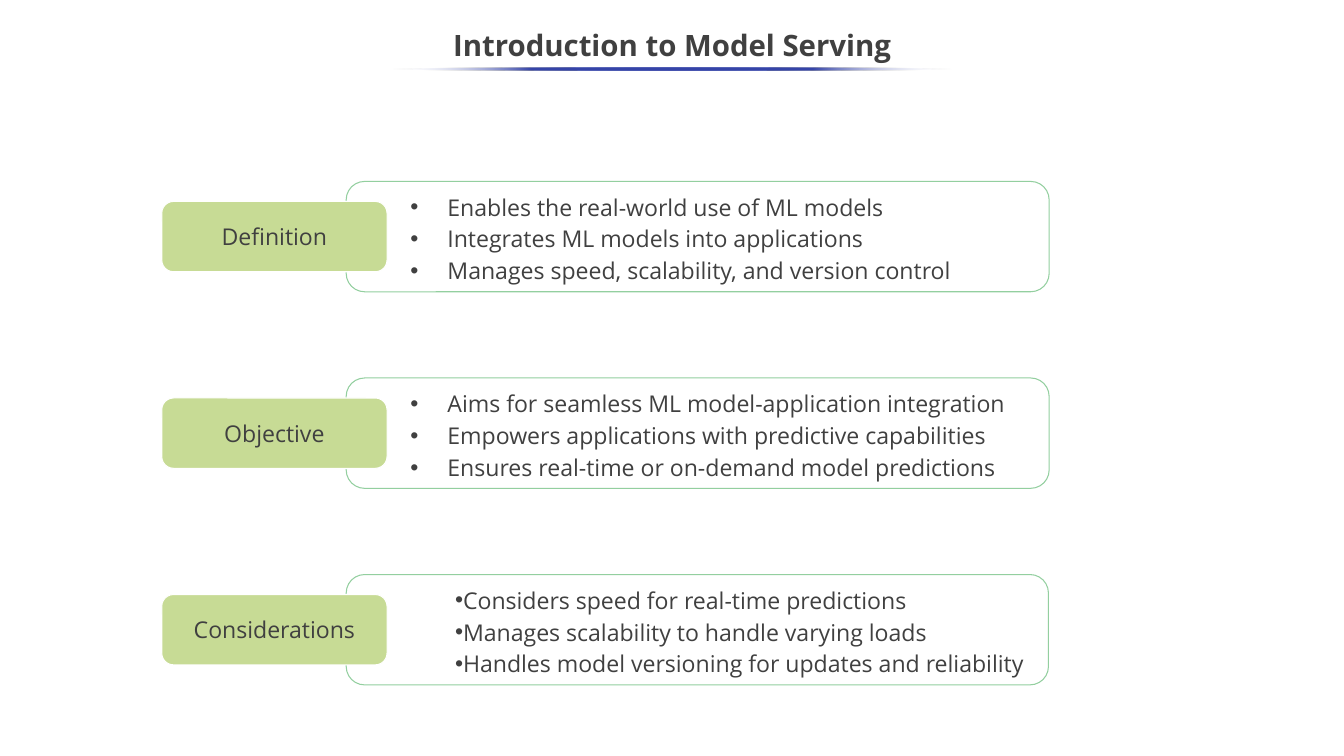
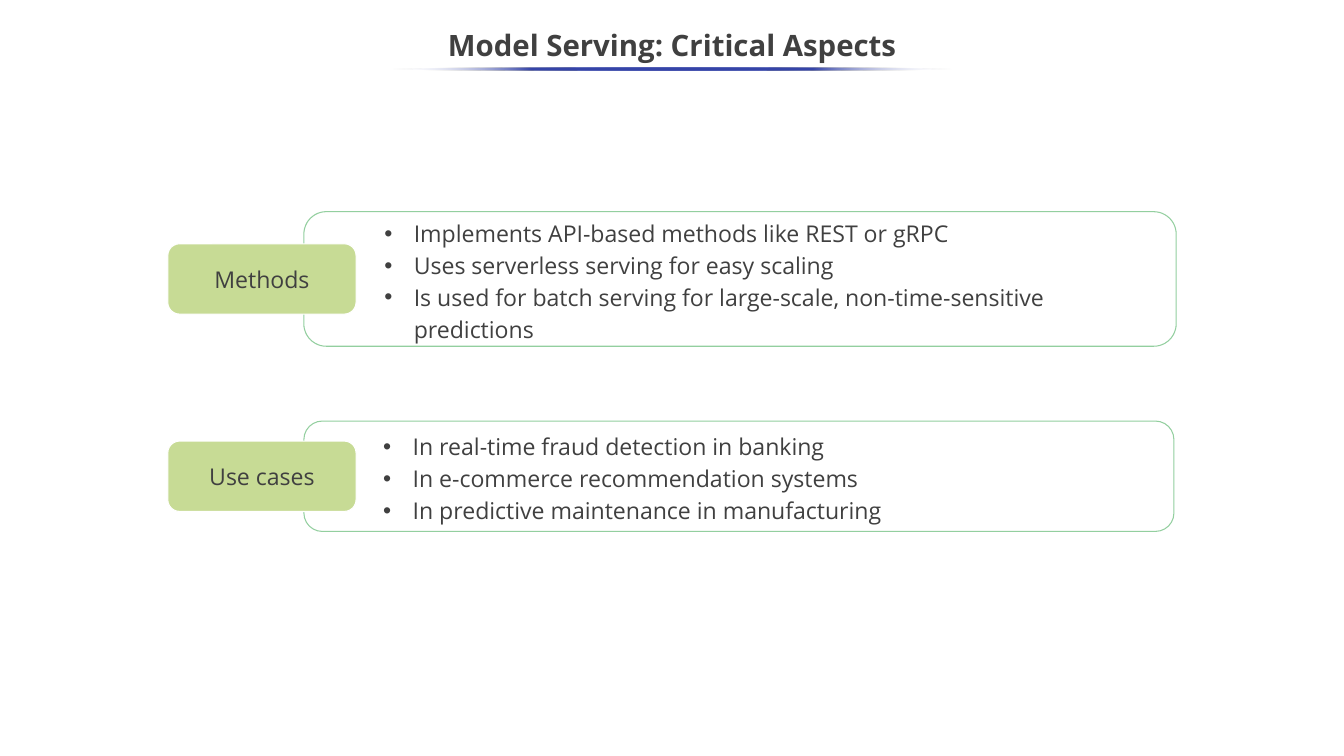
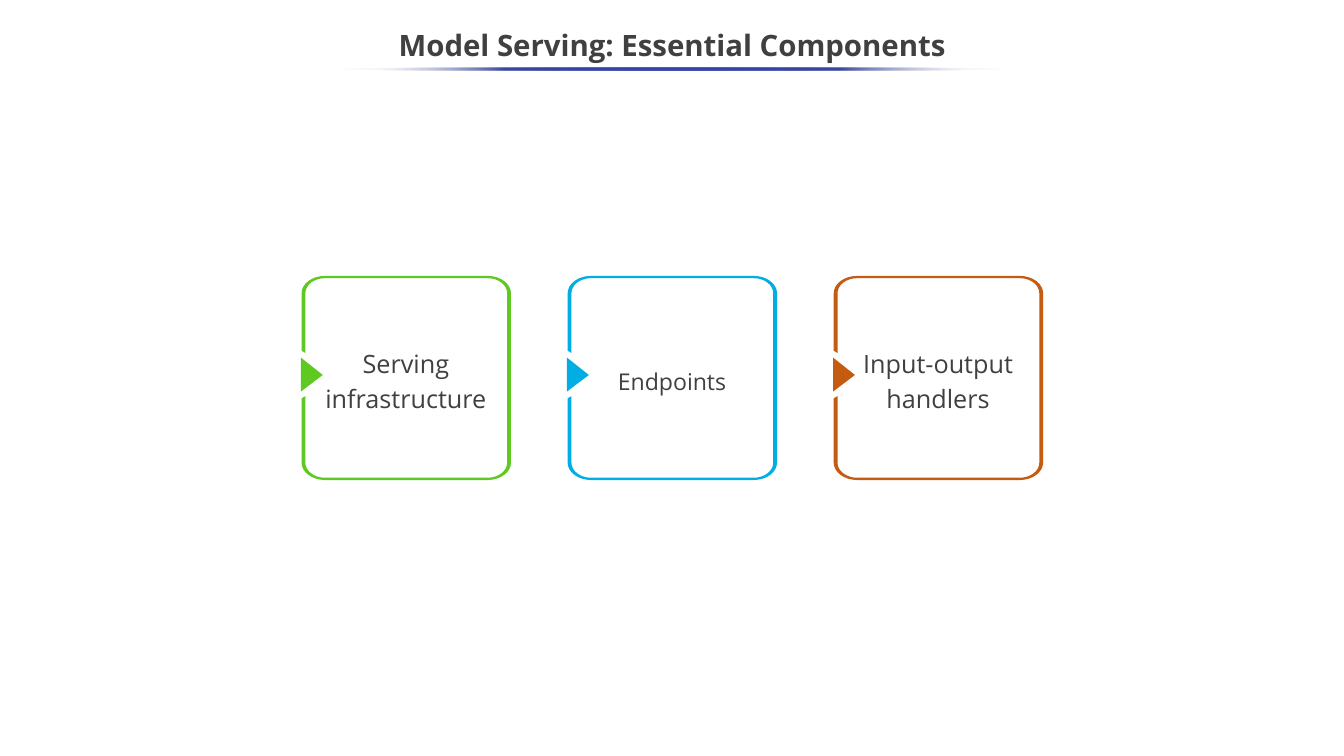
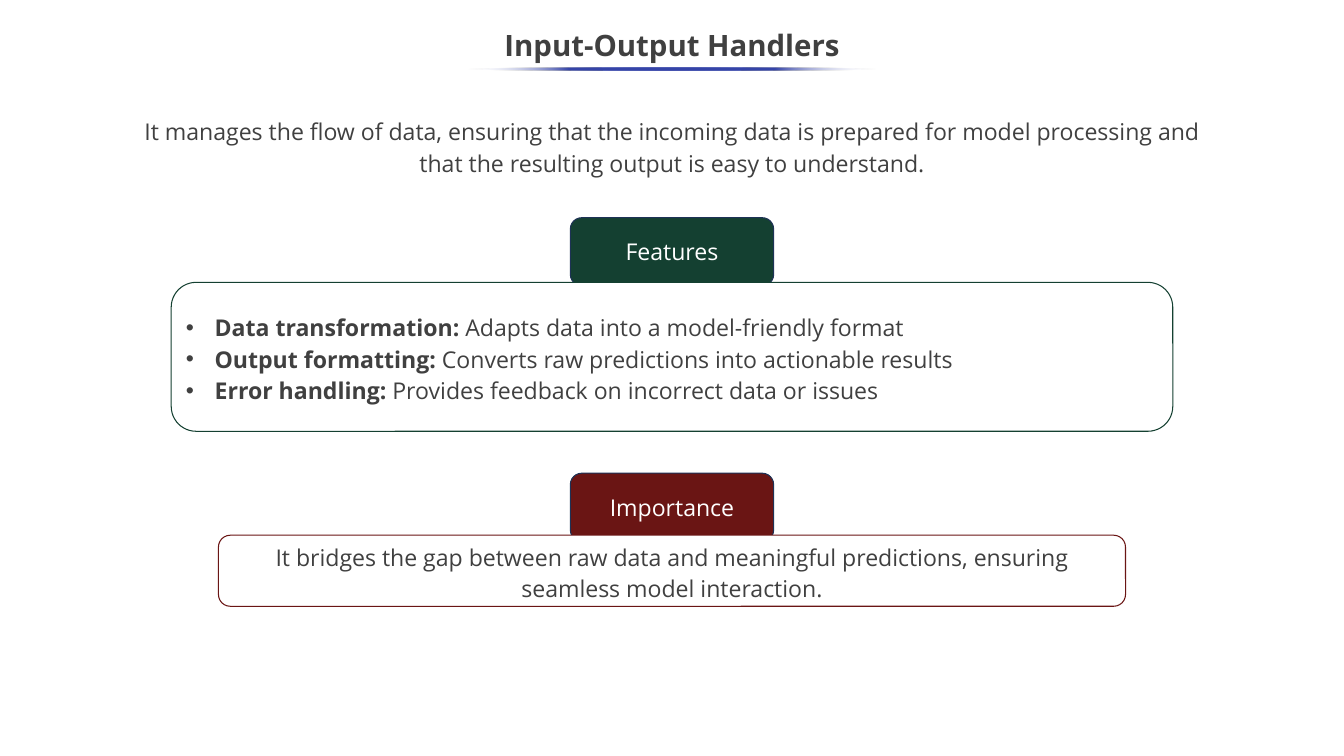
import math

import lxml.etree
import pptx
import pptx.dml.color
import pptx.enum.shapes
import pptx.enum.text
import pptx.oxml.ns
import pptx.util

SLIDE_W, SLIDE_H = 17.78, 10
CENTER = SLIDE_W / 2
FONT = "Open Sans"
INK, WHITE, ACCENT = "404040", "FFFFFF", "3645A9"
LABEL_FILL, PANEL_LINE = "C7DB95", "93CF9F"
BADGE_LINE = "1E3256"
LABEL_H = 0.93
LINE_SPACING = 1.15
SHAPE = pptx.enum.shapes.MSO_SHAPE
ALIGN = pptx.enum.text.PP_ALIGN
ANCHOR = pptx.enum.text.MSO_ANCHOR
AUTO_SIZE = pptx.enum.text.MSO_AUTO_SIZE
qn = pptx.oxml.ns.qn


def rgb(value):
    return pptx.dml.color.RGBColor.from_string(value)


def inches(*values):
    return [pptx.util.Inches(value) for value in values]


def add_element(parent, tag, **attributes):
    return lxml.etree.SubElement(parent, qn(tag), {k: str(v) for k, v in attributes.items()})


def write(sp, paragraphs, size=22, color=INK, bold=False, align=ALIGN.CENTER,
          anchor=ANCHOR.MIDDLE, spacing=None, indent=None, auto_size=AUTO_SIZE.NONE):
    tf = sp.text_frame
    tf.word_wrap = True
    tf.auto_size = auto_size
    tf.vertical_anchor = anchor
    for i, runs in enumerate(paragraphs):
        p = tf.paragraphs[0] if i == 0 else tf.add_paragraph()
        p.alignment = align
        p.line_spacing = spacing
        if indent:
            margin, hanging = inches(*indent)
            pPr = p._p.get_or_add_pPr()
            pPr.set("marL", str(margin))
            pPr.set("indent", str(hanging))
            add_element(pPr, "a:buFont", typeface="Arial")
            add_element(pPr, "a:buChar", char="•")
        for text, run_bold in [(runs, bold)] if isinstance(runs, str) else runs:
            r = p.add_run()
            r.text = text
            r.font.name = FONT
            r.font.size = pptx.util.Pt(size)
            r.font.bold = run_bold
            r.font.color.rgb = rgb(color)


def paint(sp, fill=None, line=None):
    sp.shadow.inherit = False
    if fill:
        sp.fill.solid()
        sp.fill.fore_color.rgb = rgb(fill)
    else:
        sp.fill.background()
    if line:
        sp.line.color.rgb = rgb(line)
        sp.line.width = pptx.util.Pt(1)
    else:
        sp.line.fill.background()


def add_box(s, left, middle, width, height, paragraphs, fill=None, line=None, **text_format):
    sp = s.shapes.add_shape(SHAPE.ROUNDED_RECTANGLE,
                            *inches(left, middle - height / 2, width, height))
    paint(sp, fill, line)
    write(sp, paragraphs, **text_format)


def add_bullets(s, left, middle, width, height, items, indent, **colors):
    add_box(s, left, middle, width, height, items, align=ALIGN.LEFT,
            spacing=LINE_SPACING, indent=indent, **colors)


def add_textbox(shapes, left, top, width, height, text, size=22):
    sp = shapes.add_textbox(*inches(left, top, width, height))
    write(sp, [text], size=size, anchor=ANCHOR.TOP, spacing=LINE_SPACING,
          auto_size=AUTO_SIZE.SHAPE_TO_FIT_TEXT)


def add_underline(s, width):
    sp = s.shapes.add_shape(SHAPE.OVAL, *inches(CENTER - width / 2, 0.89, width, 0.04))
    paint(sp)
    sp.fill.gradient()
    sp.fill.gradient_angle = 0
    stops = sp._element.spPr.find(".//" + qn("a:gsLst"))
    for stop in list(stops):
        stops.remove(stop)
    for percent in range(0, 101, 25):
        at_end = percent in (0, 100)
        stop = add_element(stops, "a:gs", pos=percent * 1000)
        color = add_element(stop, "a:srgbClr", val=WHITE if at_end else ACCENT)
        if at_end:
            add_element(color, "a:alpha", val=0)


def add_slide(prs, title, underline_width):
    s = prs.slides.add_slide(prs.slide_layouts[5])
    sp = s.shapes.title
    sp.left, sp.top, sp.width, sp.height = inches(0, 0.25, SLIDE_W, 0.75)
    write(sp, [title], size=28, bold=True, spacing=0.9)
    add_underline(s, underline_width)
    return s


def add_labelled_rows(s, rows, first_middle, pitch, label_left, label_w, panel_left):
    for i, (label, width, height, indent, items) in enumerate(rows):
        middle = first_middle + i * pitch
        add_bullets(s, panel_left, middle, width, height, items, indent, line=PANEL_LINE)
        add_box(s, label_left, middle, label_w, LABEL_H, [label], fill=LABEL_FILL, line=WHITE)


def rounded_outline(x, y, w, h, rx, ry, steps=8):
    centers = [(x + rx, y + ry), (x + w - rx, y + ry),
               (x + w - rx, y + h - ry), (x + rx, y + h - ry)]
    points = []
    for corner, (cx, cy) in enumerate(centers):
        for step in range(steps + 1):
            angle = math.pi * (1 + (corner + step / steps) / 2)
            points.append((cx + rx * math.cos(angle), cy + ry * math.sin(angle)))
    return points


def add_outline(shapes, points, fill):
    points = [inches(*point) for point in points]
    builder = shapes.build_freeform(*points[0])
    builder.add_line_segments(points[1:], close=True)
    paint(builder.convert_to_shape(), fill)


def add_card(s, left, text, size, color, text_left, text_top, text_w, text_h):
    top, width, height = 3.65, 2.77, 2.7
    edge_x, edge_y = 0.05, 0.03
    notch_top, notch_bottom = top + 0.99, top + 1.62
    outer = rounded_outline(left, top, width, height, 0.31, 0.23)
    inner = rounded_outline(left + edge_x, top + edge_y, width - 2 * edge_x,
                            height - 2 * edge_y, 0.26, 0.2)
    frame = [(left, notch_top), *outer, (left, notch_bottom),
             (left + edge_x, notch_bottom - edge_y), *reversed(inner),
             (left + edge_x, notch_top + edge_y)]
    arrow = [(left - 0.01, 4.73), (left - 0.01, 5.18), (left + 0.28, 4.96)]
    shapes = s.shapes.add_group_shape().shapes
    add_outline(shapes, frame, color)
    add_outline(shapes, arrow, color)
    add_textbox(shapes, left + text_left, text_top, text_w, text_h, text, size)


def add_introduction(prs):
    s = add_slide(prs, "Introduction to Model Serving", 7.41)
    hanging, inset = (1.17, -0.49), (0.68, 0.59)
    rows = [
        ("Definition", 9.3, 1.46, hanging, [
            "Enables the real-world use of ML models",
            "Integrates ML models into applications",
            "Manages speed, scalability, and version control"]),
        ("Objective", 9.3, 1.46, hanging, [
            "Aims for seamless ML model-application integration",
            "Empowers applications with predictive capabilities",
            "Ensures real-time or on-demand model predictions"]),
        ("Considerations", 9.29, 1.46, inset, [
            "Considers speed for real-time predictions",
            "Manages scalability to handle varying loads",
            "Handles model versioning for updates and reliability"]),
    ]
    add_labelled_rows(s, rows, 3.13, 2.6, label_left=2.14, label_w=2.98, panel_left=4.58)


def add_critical_aspects(prs):
    s = add_slide(prs, "Model Serving: Critical Aspects", 7.41)
    hanging = (1.27, -0.39)
    rows = [
        ("Methods", 11.54, 1.78, hanging, [
            "Implements API-based methods like REST or gRPC",
            "Uses serverless serving for easy scaling",
            "Is used for batch serving for large-scale, non-time-sensitive predictions"]),
        ("Use cases", 11.51, 1.46, hanging, [
            "In real-time fraud detection in banking",
            "In e-commerce recommendation systems",
            "In predictive maintenance in manufacturing"]),
    ]
    add_labelled_rows(s, rows, 3.69, 2.61, label_left=2.22, label_w=2.49, panel_left=4.02)


def add_components(prs):
    s = add_slide(prs, "Model Serving: Essential Components", 8.8)
    cards = [
        ("Serving infrastructure", 24, "5EC921", 0.16, 4.5, 2.44, 0.99),
        ("Endpoints", 22, "00AEE3", 0.27, 4.75, 2.22, 0.5),
        ("Input-output handlers", 24, "C55A11", 0.27, 4.5, 2.22, 1),
    ]
    for i, card in enumerate(cards):
        add_card(s, 3.99 + i * 3.52, *card)


def add_handlers(prs):
    s = add_slide(prs, "Input-Output Handlers", 5.4)
    add_textbox(s.shapes, CENTER - 14.25 / 2, 1.45, 14.25, 0.93,
                "It manages the flow of data, ensuring that the incoming data is prepared for "
                "model processing and that the resulting output is easy to understand.")
    features = [
        ("Data transformation: ", "Adapts data into a model-friendly format"),
        ("Output formatting: ", "Converts raw predictions into actionable results"),
        ("Error handling: ", "Provides feedback on incorrect data or issues"),
    ]
    badges = [("Features", 3.33, "144031"), ("Importance", 6.71, "6A1514")]
    for label, middle, color in badges:
        add_box(s, CENTER - 2.69 / 2, middle, 2.69, 0.9, [label],
                fill=color, line=BADGE_LINE, color=WHITE)
    add_bullets(s, CENTER - 13.25 / 2, 4.72, 13.25, 1.97,
                [[(name, True), (detail, False)] for name, detail in features],
                (0.38, -0.38), fill=WHITE, line=badges[0][2])
    add_box(s, CENTER - 12 / 2, 7.55, 12, 0.94,
            ["It bridges the gap between raw data and meaningful predictions, "
             "ensuring seamless model interaction."],
            fill=WHITE, line=badges[1][2], spacing=LINE_SPACING)


def main():
    prs = pptx.Presentation()
    prs.slide_width, prs.slide_height = inches(SLIDE_W, SLIDE_H)
    add_introduction(prs)
    add_critical_aspects(prs)
    add_components(prs)
    add_handlers(prs)
    prs.save("out.pptx")


if __name__ == "__main__":
    main()
